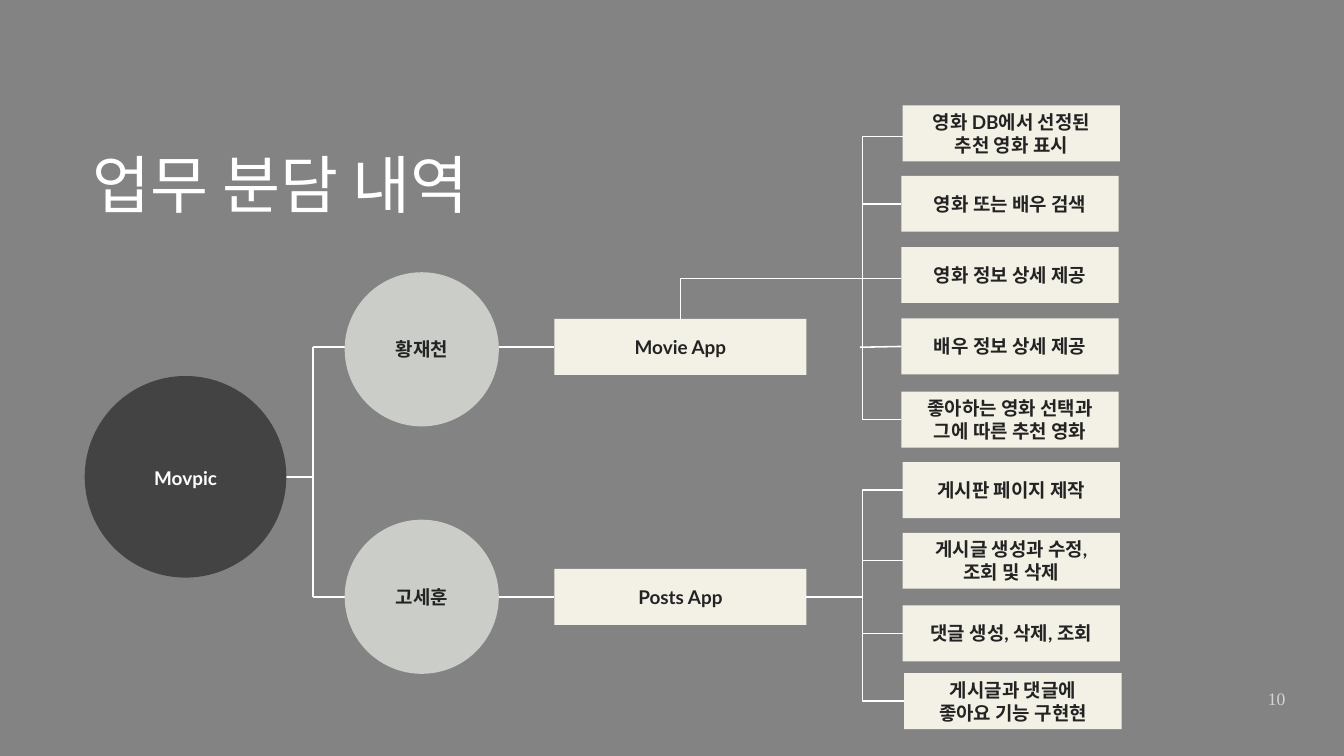
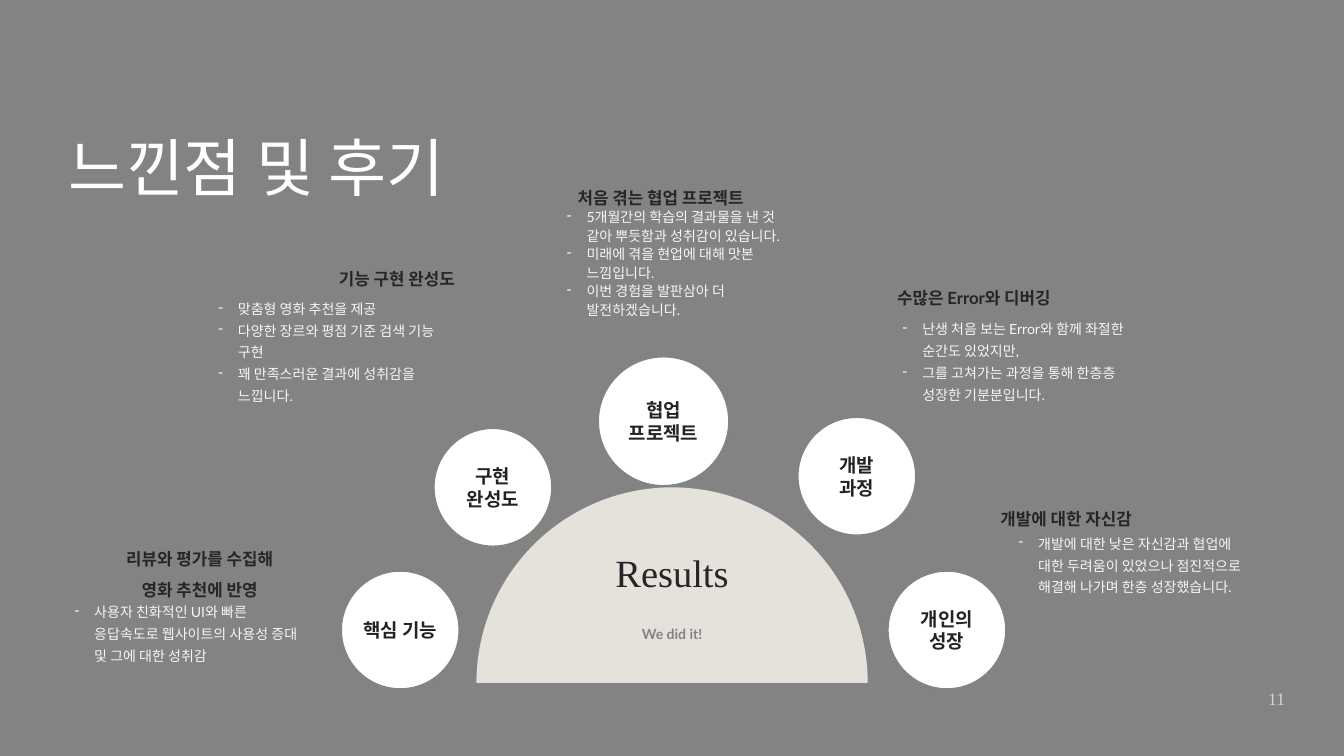
"""Build the task-sharing tree and the project review slides."""
from math import cos, radians, sin

from lxml import etree
from pptx import Presentation
from pptx.dml.color import RGBColor
from pptx.enum.shapes import MSO_CONNECTOR, MSO_SHAPE
from pptx.enum.text import MSO_ANCHOR, PP_ALIGN
from pptx.oxml.ns import qn
from pptx.util import Cm, Pt

RECT, OVAL = MSO_SHAPE.RECTANGLE, MSO_SHAPE.OVAL
STRAIGHT, ELBOW = MSO_CONNECTOR.STRAIGHT, MSO_CONNECTOR.ELBOW
LEFT, CENTER, RIGHT = PP_ALIGN.LEFT, PP_ALIGN.CENTER, PP_ALIGN.RIGHT
TOP, MIDDLE = MSO_ANCHOR.TOP, MSO_ANCHOR.MIDDLE
SANS, SERIF = "Lato", "Times New Roman"
COLORS = {
    "background": "838383", "white": "FFFFFF", "page": "D5D5D5",
    "ink": "232323", "heading": "262626", "body": "F6F6F3",
    "cream": "F3F1E6", "member": "CBCEC8", "project": "434343",
    "dome": "E5E2DC", "rim": "818779",
}


def put(slide, kind, box, text, size, color, fill=None, rim=None, font=SANS,
        bold=True, align=CENTER, spacing=None, inset=0.15, bullet=False):
    """Place text in a preset shape, or in a plain text box if kind is None."""
    place = [Cm(length) for length in box]
    if kind is None:
        item = slide.shapes.add_textbox(*place)
    else:
        item = slide.shapes.add_shape(kind, *place)
        item.shadow.inherit = False
        item.fill.solid()
        item.fill.fore_color.rgb = RGBColor.from_string(COLORS[fill])
        if rim:
            item.line.color.rgb = RGBColor.from_string(COLORS[rim])
            item.line.width = Pt(2)
        else:
            item.line.fill.background()
    frame = item.text_frame
    frame.word_wrap = True
    frame.vertical_anchor = TOP if kind is None else MIDDLE
    frame.margin_left = frame.margin_right = Cm(inset)
    frame.margin_top = frame.margin_bottom = Cm(inset)
    frame.text = text
    for paragraph in frame.paragraphs:
        paragraph.alignment = align
        if spacing:
            paragraph.line_spacing = spacing
        for run in paragraph.runs:
            run.font.name = font
            run.font.size = Pt(size)
            run.font.bold = bold
            run.font.color.rgb = RGBColor.from_string(COLORS[color])
        if bullet:
            properties = paragraph._p.get_or_add_pPr()
            properties.set("marL", str(Cm(1.27)))
            properties.set("indent", str(Cm(-0.99)))
            tint = etree.SubElement(properties, qn("a:buClr"))
            etree.SubElement(tint, qn("a:srgbClr")).set("val", COLORS[color])
            etree.SubElement(properties, qn("a:buChar")).set("char", "-")
    return item


def wire(slide, x1, y1, x2, y2, width=2, kind=STRAIGHT):
    """Draw a white connector; an elbow runs sideways first, then up or down."""
    line = slide.shapes.add_connector(kind, Cm(x1), Cm(y1), Cm(x2), Cm(y2))
    line.line.color.rgb = RGBColor.from_string(COLORS["white"])
    line.line.width = Pt(width)
    properties = line._element.spPr
    etree.SubElement(properties, qn("a:effectLst"))
    if kind == ELBOW:
        properties.find(qn("a:prstGeom")).set("prst", "bentConnector2")
    return line


prs = Presentation()
prs.slide_width, prs.slide_height = Cm(67.73), Cm(38.1)

slides = []
for title, left, top, page in [
    ("업무 분담 내역", 4.52, 7.16, "10"),
    ("느낀점 및 후기", 3.28, 6.32, "11"),
]:
    slide = prs.slides.add_slide(prs.slide_layouts[6])
    slide.background.fill.solid()
    slide.background.fill.fore_color.rgb = RGBColor.from_string(COLORS["background"])
    put(slide, None, (left, top, 30.33, 5.28), title, 90, "white",
        font=SERIF, bold=False, align=LEFT)
    put(slide, None, (63.7, 34.54, 1.27, 1.35), page, 25, "page",
        font=SERIF, bold=False)
    slides.append(slide)
tree, review = slides

project_trunk, task_trunk = 15.77, 43.46
member_ys = (17.48, 30.08)
wire(tree, 13.59, 24.03, project_trunk, 24.03)
wire(tree, project_trunk, member_ys[0], project_trunk, member_ys[1])
put(tree, OVAL, (4.27, 18.95, 10.16, 10.16), "Movpic", 27, "white", "project",
    spacing=1.1)

apps = []
for member, app_name, y, circle_top in [
    ("황재천", "Movie App", member_ys[0], 13.72),
    ("고세훈", "Posts App", member_ys[1], 26.19),
]:
    wire(tree, project_trunk, y, 17.58, y)
    put(tree, OVAL, (17.37, circle_top, 7.77, 7.77), member, 27, "ink", "member")
    app = put(tree, RECT, (27.94, y - 1.41, 12.7, 2.82), app_name, 27, "ink", "cream")
    wire(tree, 25.13, y, 27.94, y).end_connect(app, 1)
    apps.append(app)

tasks = [
    put(tree, RECT, (left, top, 10.95, 2.82), text, 27, "ink", "cream")
    for left, top, text in [
        (45.49, 5.31, "영화 DB에서 선정된\n추천 영화 표시"),
        (45.42, 8.86, "영화 또는 배우 검색"),
        (45.42, 12.45, "영화 정보 상세 제공"),
        (45.42, 16.05, "배우 정보 상세 제공"),
        (45.42, 19.74, "좋아하는 영화 선택과\n그에 따른 추천 영화"),
        (45.49, 23.29, "게시판 페이지 제작"),
        (45.49, 26.85, "게시글 생성과 수정,\n조회 및 삭제"),
        (45.49, 30.51, "댓글 생성, 삭제, 조회"),
        (45.57, 33.93, "게시글과 댓글에\n좋아요 기능 구현현"),
    ]
]
for index, start, y, width in [
    (1, task_trunk, 10.27, 2.25), (3, 43.33, 17.5, 2.25),
    (4, task_trunk, 21.15, 2), (6, task_trunk, 28.26, 2),
    (7, task_trunk, 31.92, 2),
]:
    wire(tree, start, y, 45.42, y, width).end_connect(tasks[index], 1)
wire(tree, task_trunk, 6.88, 45.49, 6.88)
wire(tree, 40.46, 14.05, 45.42, 14.05)
wire(tree, task_trunk, 6.88, task_trunk, 21.18)
wire(tree, task_trunk, 28.24, task_trunk, 31.92)
wire(tree, 40.64, member_ys[1], task_trunk, member_ys[1]).begin_connect(apps[1], 3)
wire(tree, 40.67, 14.03, 34.29, 16.07, 2.25, ELBOW)
wire(tree, 45.49, 24.7, task_trunk, 28.24, 2.25, ELBOW)
wire(tree, 45.57, 35.34, task_trunk, 31.9, 2.25, ELBOW)

center_x, base_y, radius = 33.87, 34.42, 9.86
rim_points = [
    (Cm(center_x - radius * cos(radians(angle))),
     Cm(base_y - radius * sin(radians(angle))))
    for angle in range(0, 181, 2)
]
builder = review.shapes.build_freeform(*rim_points[0], scale=1.0)
builder.add_line_segments(rim_points[1:], close=True)
dome = builder.convert_to_shape()
dome.shadow.inherit = False
dome.fill.solid()
dome.fill.fore_color.rgb = RGBColor.from_string(COLORS["dome"])
dome.line.fill.background()
put(review, None, (28.09, 27.53, 11.56, 3.48), "Results", 55, "heading",
    font=SERIF, bold=False)
put(review, None, (27.81, 30.89, 12.12, 1.73), "We did it!", 20, "background",
    spacing=1.5, inset=0.2)

for left, top, width, height, text in [
    (17.2, 28.78, 5.94, 5.94, "핵심 기능"),
    (21.87, 21.59, 5.94, 5.94, "구현\n완성도"),
    (30.15, 17.98, 6.58, 6.5, "협업\n프로젝트"),
    (40.21, 21.03, 5.94, 5.94, "개발\n과정"),
    (44.75, 28.78, 5.94, 5.94, "개인의 성장"),
]:
    put(review, OVAL, (left, top, width, height), text, 27, "ink", "white", "rim",
        inset=0.23)

for left, top, height, align, text in [
    (3.76, 26.97, 3.48, CENTER, "리뷰와 평가를 수집해\n영화 추천에 반영"),
    (10.52, 12.83, 1.47, RIGHT, "기능 구현 완성도"),
    (28.91, 8.76, 1.47, LEFT, "처음 겪는 협업 프로젝트"),
    (45.01, 13.79, 1.47, LEFT, "수많은 Error와 디버깅"),
    (50.22, 24.92, 1.47, LEFT, "개발에 대한 자신감"),
]:
    put(review, None, (left, top, 12.6, height), text, 24, "heading",
        align=align, spacing=1.5, inset=0.2)

for left, top, height, spacing, notes in [
    (3.28, 29.97, 5.59, 1.3, [
        "사용자 친화적인 UI와 빠른 응답속도로 웹사이트의 사용성 증대 및 그에 대한 성취감",
    ]),
    (10.52, 14.68, 7.59, 1.3, [
        "맞춤형 영화 추천을 제공",
        "다양한 장르와 평점 기준 검색 기능 구현",
        "꽤 만족스러운 결과에 성취감을 느낍니다.",
    ]),
    (28.09, 10.24, 8.31, 1.1, [
        "5개월간의 학습의 결과물을 낸 것 같아 뿌듯함과 성취감이 있습니다.",
        "미래에 겪을 현업에 대해 맛본 느낌입니다.",
        "이번 경험을 발판삼아 더 발전하겠습니다.",
    ]),
    (45.01, 15.72, 4.85, 1.3, [
        "난생 처음 보는 Error와 함께 좌절한 순간도 있었지만,",
        "그를 고쳐가는 과정을 통해 한층층 성장한 기분분입니다.",
    ]),
    (50.85, 26.52, 5.94, 1.3, [
        "개발에 대한 낮은 자신감과 협업에 대한 두려움이 있었으나 점진적으로 "
        "해결해 나가며 한층 성장했습니다.",
    ]),
]:
    put(review, None, (left, top, 12.6, height), "\n".join(notes), 20, "body",
        bold=False, align=LEFT, spacing=spacing, inset=0.2, bullet=True)

prs.save("out.pptx")
